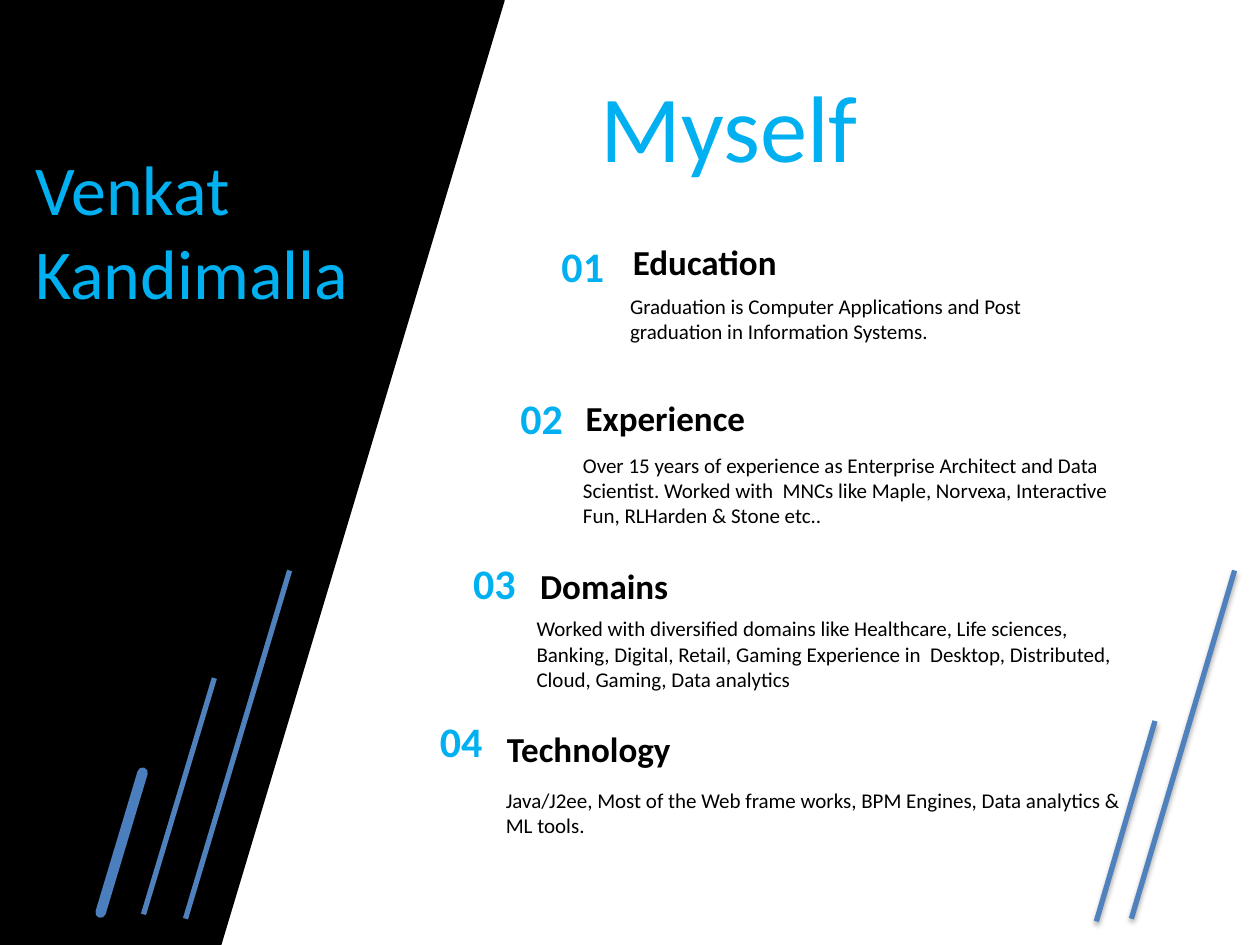
"""Build a personal profile slide with four numbered sections."""
from dataclasses import dataclass

from lxml.etree import SubElement
from pptx import Presentation
from pptx.dml.color import RGBColor
from pptx.enum.shapes import MSO_CONNECTOR
from pptx.enum.text import MSO_ANCHOR, MSO_AUTO_SIZE, PP_ALIGN
from pptx.oxml.ns import qn
from pptx.util import Pt

COLORS = {"black": "000000", "accent": "00B0F0", "stripe": "4F81BD", "thick": "4B7EBC"}
FONT = "Calibri"
Box = tuple[float, float, float, float]


@dataclass
class Section:
    heading: str
    body: str
    number_box: Box
    heading_box: Box
    body_box: Box


@dataclass
class Stripe:
    start: tuple[float, float]
    end: tuple[float, float]
    color: str = "stripe"
    width: float = 3
    shadow: bool = True


SECTIONS = [
    Section("Education",
            "Graduation is Computer Applications and Post graduation in Information Systems.",
            (309, 134, 48, 36), (353, 134, 266, 32), (353, 164, 266, 36)),
    Section("Experience",
            "Over 15 years of experience as Enterprise Architect and Data Scientist. Worked with  "
            "MNCs like Maple, Norvexa, Interactive Fun, RLHarden & Stone etc..",
            (281, 221, 57, 33), (326, 223, 266, 29), (326, 255, 334, 60)),
    Section("Domains",
            "Worked with diversified domains like Healthcare, Life sciences, Banking, Digital, "
            "Retail, Gaming Experience in  Desktop, Distributed, Cloud, Gaming, Data analytics",
            (258, 315, 49, 32), (300, 319, 348, 27), (299.5, 348.5, 348, 56)),
    Section("Technology",
            "Java/J2ee, Most of the Web frame works, BPM Engines, Data analytics & ML tools.",
            (235, 405.5, 57, 36), (281, 412, 266, 32), (282, 446.5, 377, 36)),
]
STRIPES = [
    Stripe((705.5, 326), (646.5, 525)),
    Stripe((165.5, 326), (106, 525)),
    Stripe((122.5, 387.5), (82, 522.5)),
    Stripe((81.5, 441.5), (57.5, 521.5), "thick", 6, False),
    Stripe((660, 412), (626.5, 526.5)),
]


def color(name: str) -> RGBColor:
    return RGBColor.from_string(COLORS[name])


def write_text(shape, lines: list[str], size: float, color_name: str, bold: bool = False,
               align=PP_ALIGN.LEFT, anchor=MSO_ANCHOR.TOP, inset: float = 7.2) -> None:
    frame = shape.text_frame
    frame.word_wrap = True
    frame.auto_size = MSO_AUTO_SIZE.SHAPE_TO_FIT_TEXT
    frame.vertical_anchor = anchor
    frame.margin_left = frame.margin_right = Pt(inset)
    frame.margin_top = frame.margin_bottom = Pt(3.6)
    for index, line in enumerate(lines):
        paragraph = frame.add_paragraph() if index else frame.paragraphs[0]
        paragraph.alignment = align
        run = paragraph.add_run()
        run.text = line
        run.font.name = FONT
        run.font.size = Pt(size)
        run.font.bold = bold
        run.font.color.rgb = color(color_name)


def add_box(slide, box: Box):
    return slide.shapes.add_textbox(*map(Pt, box))


def add_panel(slide) -> None:
    builder = slide.shapes.build_freeform(Pt(0), Pt(0))
    builder.add_line_segments(
        [(Pt(x), Pt(y)) for x, y in [(287.5, 0), (125.5, 540), (0, 540)]], close=True)
    panel = builder.convert_to_shape()
    panel.shadow.inherit = False
    panel.fill.solid()
    panel.fill.fore_color.rgb = color("black")
    panel.line.color.rgb = color("black")
    panel.line.width = Pt(2)


def add_section(slide, number: int, section: Section) -> None:
    write_text(add_box(slide, section.body_box), [section.body], 12, "black")
    write_text(add_box(slide, section.heading_box), [section.heading], 20, "black",
               bold=True, inset=8.64)
    write_text(add_box(slide, section.number_box), [f"{number:02d}"], 24, "accent",
               bold=True, align=PP_ALIGN.CENTER, inset=8.64)


def add_stripe(slide, stripe: Stripe) -> None:
    connector = slide.shapes.add_connector(
        MSO_CONNECTOR.STRAIGHT, *map(Pt, stripe.start + stripe.end))
    connector.line.color.rgb = color(stripe.color)
    connector.line.width = Pt(stripe.width)
    properties = connector._element.spPr
    effects = SubElement(properties, qn("a:effectLst"))
    if stripe.shadow:
        shadow = SubElement(effects, qn("a:outerShdw"), blurRad=str(Pt(3.1)),
                            dist=str(Pt(1.8)), dir="5400000", rotWithShape="0")
        shade = SubElement(shadow, qn("a:srgbClr"), val=COLORS["black"])
        SubElement(shade, qn("a:alpha"), val="35000")
    else:
        properties.find(qn("a:ln")).set("cap", "rnd")


def build() -> None:
    presentation = Presentation()
    presentation.slide_width, presentation.slide_height = Pt(720), Pt(540)
    slide = presentation.slides.add_slide(presentation.slide_layouts[5])
    add_panel(slide)
    title = slide.shapes.title
    title.left, title.top, title.width, title.height = map(Pt, (336, 35, 366, 73))
    write_text(title, ["Myself"], 54, "accent", anchor=MSO_ANCHOR.MIDDLE)
    write_text(add_box(slide, (13, 79, 207.5, 104.5)), ["Venkat", "Kandimalla"], 40,
               "accent", anchor=MSO_ANCHOR.MIDDLE)
    for number, section in enumerate(SECTIONS, start=1):
        add_section(slide, number, section)
    for stripe in STRIPES:
        add_stripe(slide, stripe)
    presentation.save("out.pptx")


build()
